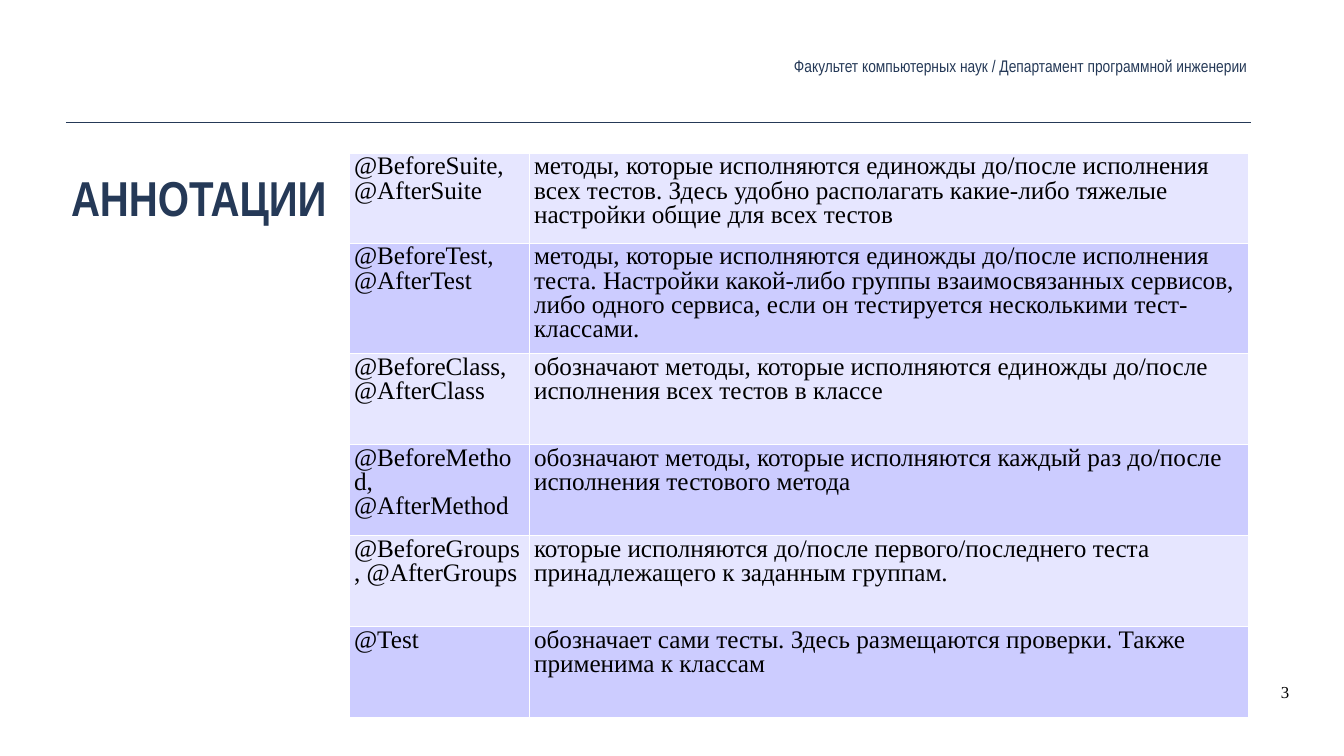
from lxml.etree import SubElement
from pptx import Presentation
from pptx.dml.color import RGBColor
from pptx.enum.shapes import MSO_CONNECTOR
from pptx.enum.text import MSO_ANCHOR as ANCHOR, MSO_AUTO_SIZE as AUTO, PP_ALIGN as ALIGN
from pptx.oxml.ns import qn
from pptx.util import Emu, Inches, Pt

SCALE = Inches(1) / 50.4
COLORS = {"navy": "253957", "black": "000000", "white": "FFFFFF",
          "light": "E6E6FF", "dark": "CCCCFF"}
NARROW, SERIF = "Arial Narrow", "Times New Roman"


def px(n):
    return Emu(round(n * SCALE))


def rgb(name):
    return RGBColor.from_string(COLORS[name])


class Deck:
    def __init__(self, width, height):
        self.prs = Presentation()
        self.prs.slide_width, self.prs.slide_height = px(width), px(height)
        self.s = self.prs.slides.add_slide(self.prs.slide_layouts[6])

    def style(self, p, font, size, color, bold=False):
        for r in p.runs:
            r.font.name, r.font.size, r.font.bold = font, Pt(size), bold
            r.font.color.rgb = rgb(color)

    def text(self, box, text, font, size, color, bold=False, inset=None,
             align=ALIGN.LEFT, anchor=ANCHOR.TOP, auto=AUTO.NONE):
        tf = self.s.shapes.add_textbox(*map(px, box)).text_frame
        tf.text = text
        tf.word_wrap, tf.auto_size, tf.vertical_anchor = True, auto, anchor
        if inset is not None:
            tf.margin_left = tf.margin_right = px(inset)
            tf.margin_top = tf.margin_bottom = px(inset)
        p = tf.paragraphs[0]
        p.alignment = align
        self.style(p, font, size, color, bold)

    def line(self, x1, y1, x2, y2, color, width):
        c = self.s.shapes.add_connector(MSO_CONNECTOR.STRAIGHT, *map(px, (x1, y1, x2, y2)))
        c.line.color.rgb, c.line.width = rgb(color), Pt(width)
        SubElement(c._element.spPr, qn("a:effectLst"))

    def border(self, cell, color, width):
        tc_pr = cell._tc.get_or_add_tcPr()
        for i, side in enumerate(("lnL", "lnR", "lnT", "lnB")):
            ln = SubElement(tc_pr, qn("a:" + side), w=str(Pt(width)))
            fill = SubElement(ln, qn("a:solidFill"))
            SubElement(fill, qn("a:srgbClr"), val=COLORS[color])
            tc_pr.insert(i, ln)

    def table(self, left, top, widths, heights, rows, fills):
        box = map(px, (left, top, sum(widths), sum(heights)))
        table = self.s.shapes.add_table(len(rows), len(widths), *box).table
        for col, width in zip(table.columns, widths):
            col.width = px(width)
        for i, (row, height, texts) in enumerate(zip(table.rows, heights, rows)):
            row.height = px(height)
            for cell, text in zip(row.cells, texts):
                cell.text = text
                cell.fill.solid()
                cell.fill.fore_color.rgb = rgb(fills[i % len(fills)])
                self.border(cell, "white", 0.06)
                p = cell.text_frame.paragraphs[0]
                p.line_spacing = 0.87
                self.style(p, SERIF, 36, "black")


ANNOTATIONS = [
    ("@BeforeSuite, @AfterSuite",
     "методы, которые исполняются единожды до/после исполнения всех тестов. "
     "Здесь удобно располагать какие-либо тяжелые настройки общие для всех тестов"),
    ("@BeforeTest, @AfterTest",
     "методы, которые исполняются единожды до/после исполнения теста. "
     "Настройки какой-либо группы взаимосвязанных сервисов, либо одного сервиса, "
     "если он тестируется несколькими тест-классами."),
    ("@BeforeClass, @AfterClass ",
     "обозначают методы, которые исполняются единожды до/после исполнения "
     "всех тестов в классе"),
    ("@BeforeMethod, @AfterMethod",
     "обозначают методы, которые исполняются каждый раз до/после исполнения "
     "тестового метода"),
    ("@BeforeGroups, @AfterGroups",
     "которые исполняются до/после первого/последнего теста принадлежащего "
     "к заданным группам."),
    ("@Test ",
     "обозначает сами тесты. Здесь размещаются проверки. Также применима к классам"),
]

deck = Deck(1344, 756)
deck.line(66, 122, 1251, 122, "navy", 0.99)
deck.text((67, 164, 1181, 87), "АННОТАЦИИ", NARROW, 70, "navy", bold=True, inset=4)
deck.text((625, 52, 626, 28),
          "Факультет компьютерных наук / Департамент программной инженерии",
          NARROW, 24, "navy", inset=4, align=ALIGN.RIGHT, anchor=ANCHOR.MIDDLE,
          auto=AUTO.SHAPE_TO_FIT_TEXT)
deck.text((1276, 679, 60, 24), "3", SERIF, 24, "black")
deck.table(349, 153, [180, 719], [90, 101] + [91] * 4, ANNOTATIONS, ["light", "dark"])
deck.prs.save("out.pptx")
